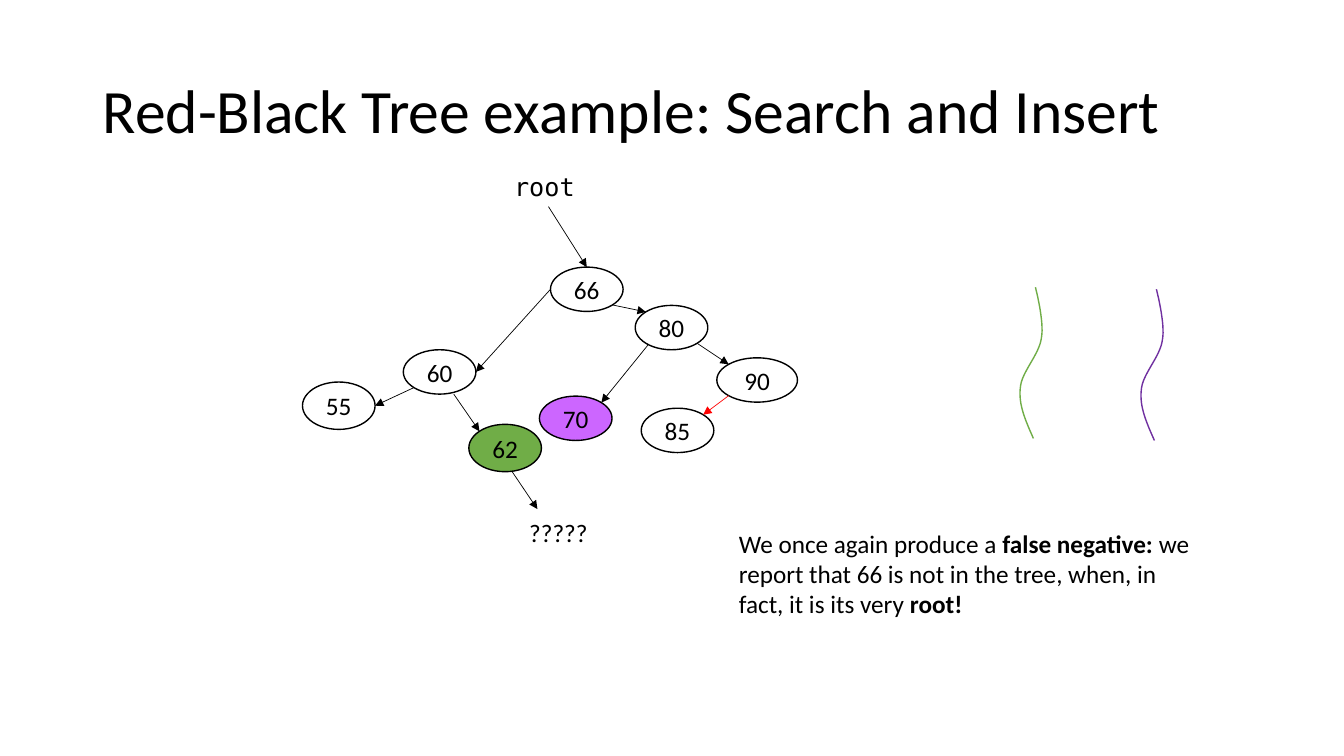
from math import sqrt
from lxml.etree import SubElement as Sub
from pptx import Presentation
from pptx.dml.color import RGBColor
from pptx.enum.shapes import MSO_CONNECTOR as Link, MSO_SHAPE as Kind
from pptx.enum.text import MSO_ANCHOR as Anchor, PP_ALIGN as Align
from pptx.oxml.ns import qn
from pptx.util import Inches, Pt

CELL = Inches(0.01)
BLACK, RED, GREEN = "000000", "FF0000", "70AD47"
PURPLE, LILAC = "7030A0", "CC66FF"
SANS, MONO = "Calibri", "DejaVu Sans Mono"
D = 1 / sqrt(2)
NODES = {
    "66": (246, 100, 72, 44, None),
    "80": (330, 138, 72, 44, None),
    "90": (411, 190, 80, 44, None),
    "85": (336, 240, 72, 44, None),
    "55": (0, 214, 72, 47, None),
    "60": (100, 182, 72, 44, None),
    "62": (165, 256, 72, 47, GREEN),
    "70": (235, 228, 72, 44, LILAC),
}
EDGES = [
    ("66", (D, D), "80", (-D, -D), BLACK),
    ("66", (-1, 0), "60", (1, 0), BLACK),
    ("80", (D, D), "90", (-D, -D), BLACK),
    ("80", (-0.64, 0.77), "70", (D, -D), BLACK),
    ("90", (-D, D), "85", (D, -D), RED),
    ("60", (-D, D), "55", (1, 0), BLACK),
    ("60", (0.39, 1), "62", (-D, -D), BLACK),
]
WAVE = [
    ((13, 150), (6, 134), (-2, 117), (0, 100)),
    ((0, 100), (1, 84), (19, 67), (21, 50)),
    ((21, 50), (24, 34), (15, 0), (15, 0)),
]


def rgb(code):
    """Turn a hex string into a colour."""
    return RGBColor.from_string(code)


def grid(*cells):
    """Turn grid cells into lengths."""
    return [round(n * CELL) for n in cells]


def style(item, **look):
    """Set every attribute named in look."""
    for key, value in look.items():
        setattr(item, key, value)


def stroke(shape, color, width):
    """Give a shape its outline."""
    shape.line.color.rgb = rgb(color)
    shape.line.width = Pt(width)


def write(shape, runs, size=18, face=SANS, para=None, **look):
    """Write (text, bold) runs as one paragraph."""
    frame = shape.text_frame
    style(frame, **{"word_wrap": True, **look})
    line = frame.paragraphs[0]
    style(line, **(para or {}))
    for text, bold in runs:
        run = line.add_run()
        run.text = text
        style(run.font, size=Pt(size), name=face, bold=bold)
        run.font.color.rgb = rgb(BLACK)


def label(slide, box, runs, **look):
    """Place a text box."""
    write(slide.shapes.add_textbox(*grid(*box)), runs, **look)


def node(slide, box, name, fill):
    """Draw one tree node."""
    oval = slide.shapes.add_shape(Kind.OVAL, *grid(*box))
    oval.shadow.inherit = False
    if fill:
        oval.fill.solid()
        oval.fill.fore_color.rgb = rgb(fill)
    else:
        oval.fill.background()
    stroke(oval, BLACK, 1)
    write(oval, [(name, False)], para={"alignment": Align.CENTER},
          vertical_anchor=Anchor.MIDDLE, word_wrap=False,
          margin_left=0, margin_right=0, margin_top=0, margin_bottom=0)


def arrow(slide, start, end, color=BLACK):
    """Draw a thin arrow between two points."""
    line = slide.shapes.add_connector(Link.STRAIGHT, *grid(*start, *end))
    stroke(line, color, 0.5)
    Sub(line.line._get_or_add_ln(), qn("a:tailEnd"), type="triangle")
    Sub(line._element.spPr, qn("a:effectLst"))


def port(name, way, left, top):
    """Find a point on a node's rim, way being in radii."""
    x, y, wide, high, _ = NODES[name]
    return (left + x + wide / 2 * (1 + way[0]),
            top + y + high / 2 * (1 + way[1]))


def tree(slide, left, top):
    """Draw the tree with its root and its missing leaf."""
    for name, (x, y, wide, high, fill) in NODES.items():
        node(slide, (left + x, top + y, wide, high), name, fill)
    for head, out, tail, into, color in EDGES:
        arrow(slide, port(head, out, left, top),
              port(tail, into, left, top), color)
    label(slide, (left + 200, top, 88, 40), [("root", False)], face=MONO)
    arrow(slide, (left + 244, top + 40), port("66", (0, -1), left, top))
    arrow(slide, (left + 208, top + 303), (left + 233, top + 340))
    label(slide, (left + 215, top + 343, 151, 40), [("?????", False)])


def bend(curve, t):
    """Find the point at share t of a cubic curve."""
    mix = ((1 - t) ** 3, 3 * t * (1 - t) ** 2, 3 * t * t * (1 - t), t ** 3)
    return [sum(m * p[axis] for m, p in zip(mix, curve)) for axis in (0, 1)]


def wave(slide, left, top, color):
    """Draw one wavy thread."""
    dots = [bend(curve, step / 16) for curve in WAVE for step in range(17)]
    dots = [grid(left + x, top + y) for x, y in dots]
    pen = slide.shapes.build_freeform(*dots[0])
    pen.add_line_segments(dots[1:], close=False)
    thread = pen.convert_to_shape()
    thread.shadow.inherit = False
    thread.fill.background()
    stroke(thread, color, 1)


def threads(slide, left, top):
    """Draw the two threads side by side."""
    for i, color in enumerate((GREEN, PURPLE)):
        wave(slide, left + 120 * i, top + 2 * i, color)


def main():
    """Build the slide and save it."""
    deck = Presentation()
    style(deck, slide_width=Inches(13.33), slide_height=Inches(7.5))
    slide = deck.slides.add_slide(deck.slide_layouts[6])
    label(slide, (92, 40, 1150, 145),
          [("Red-Black Tree example: Search and Insert", False)], size=44,
          para={"line_spacing": 0.9}, vertical_anchor=Anchor.MIDDLE)
    tree(slide, 300, 165)
    threads(slide, 1012, 285)
    label(slide, (723, 519, 477, 101), [
        ("We once again produce a ", False), ("false negative: ", True),
        ("we report that 66 is not in the tree, when, in fact, "
         "it is its very ", False), ("root!", True)])
    deck.save("out.pptx")


if __name__ == "__main__":
    main()
